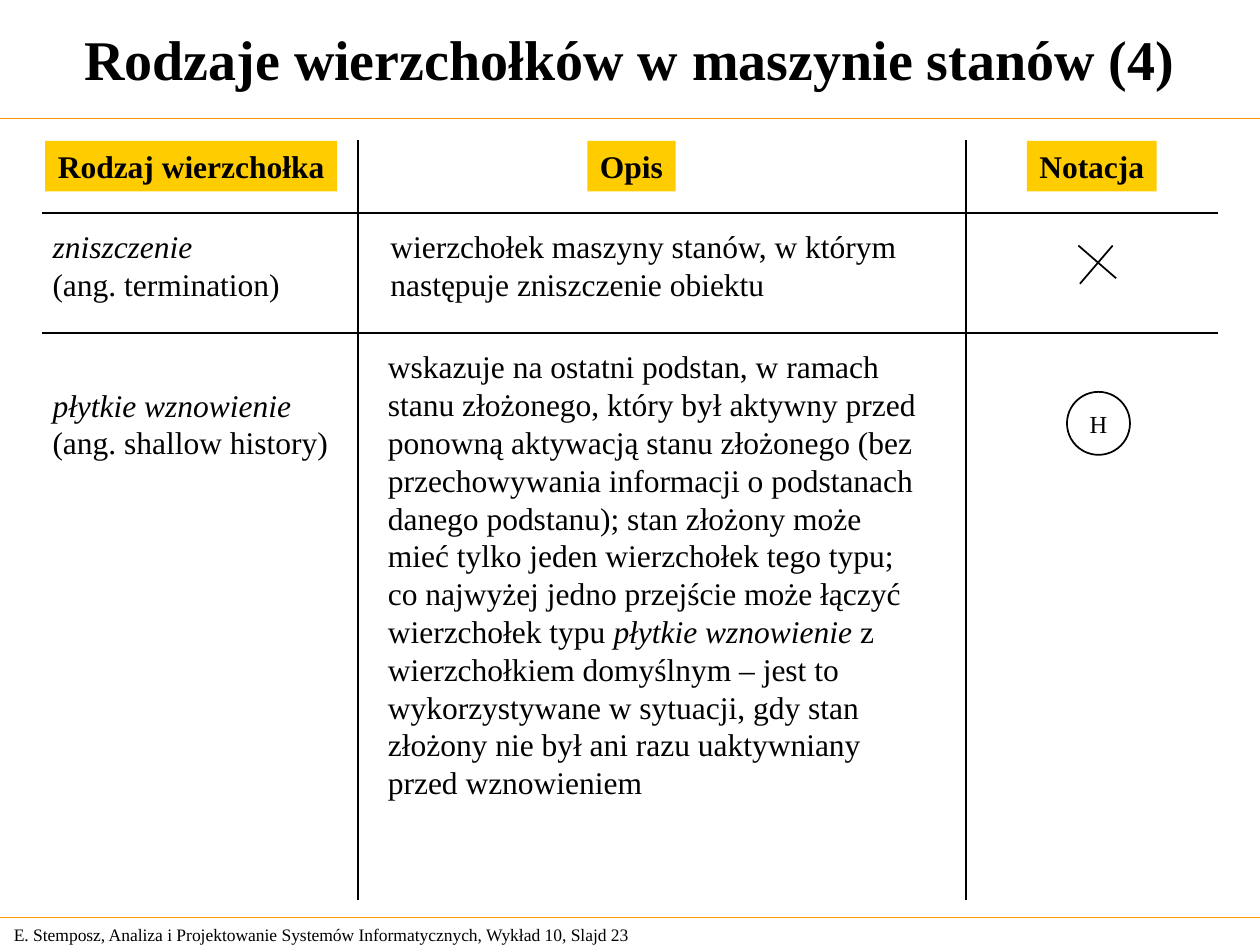
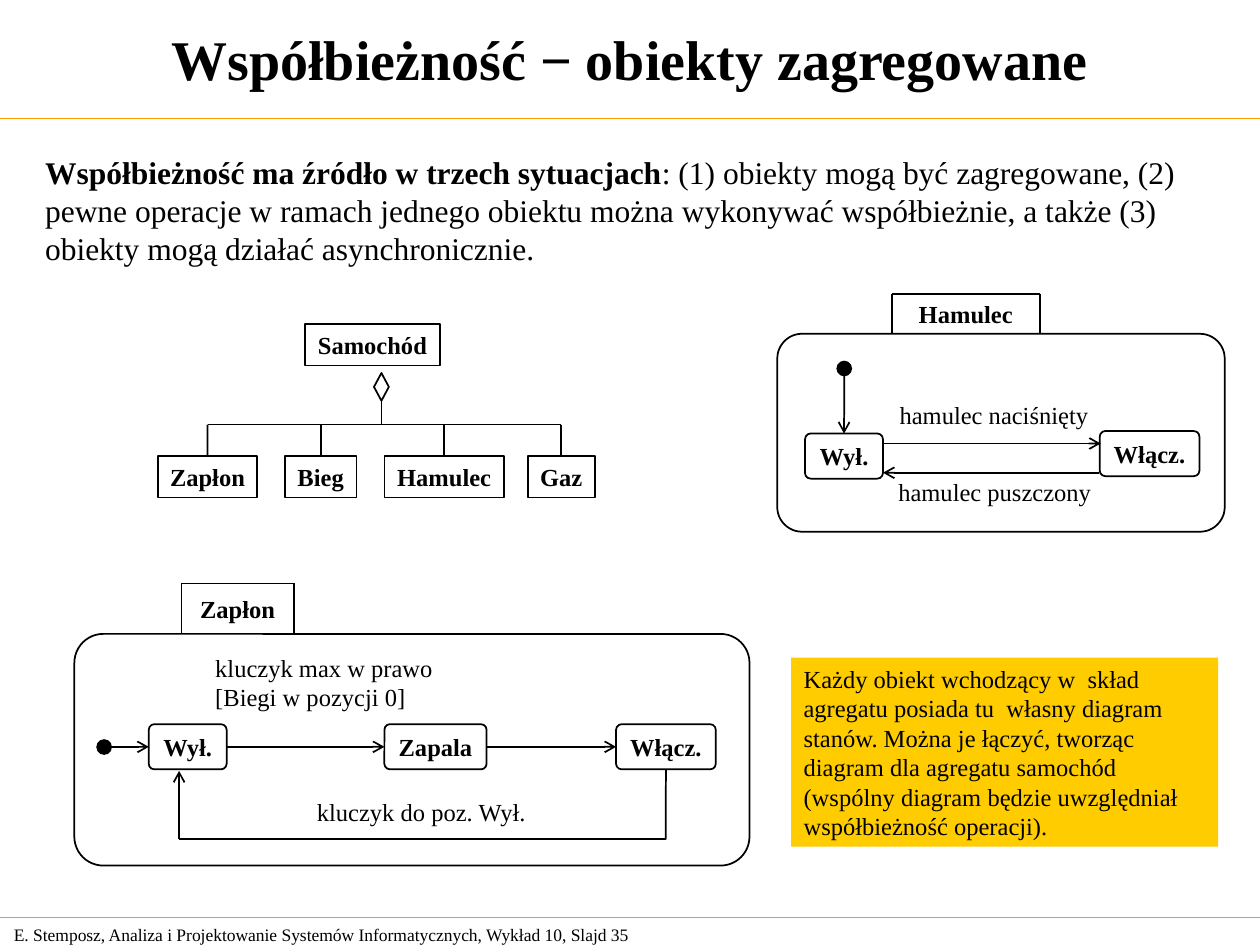
"""Builds two lecture slides on state machines and concurrency."""
from dataclasses import dataclass
from itertools import pairwise

from lxml import etree
from pptx import Presentation
from pptx import util as u
from pptx.dml import color as dml
from pptx.enum import shapes, text
from pptx.oxml import ns


@dataclass(frozen=True)
class Theme:
    """Colours, font, type sizes and line widths."""
    font: str = "Times New Roman"
    ink: str = "000000"
    paper: str = "FFFFFF"
    accent: str = "FFCC00"
    rule: str = "FF9900"
    title: int = 32
    body: int = 18
    label: int = 14
    footer: int = 10
    stroke: float = 1
    thin: float = 0.75


THEME = Theme()
CENTER = text.PP_ALIGN.CENTER
LEFT = text.PP_ALIGN.LEFT
TOP = text.MSO_ANCHOR.TOP
MIDDLE = text.MSO_ANCHOR.MIDDLE
RECT = shapes.MSO_SHAPE.RECTANGLE
ROUND = shapes.MSO_SHAPE.ROUNDED_RECTANGLE
OVAL = shapes.MSO_SHAPE.OVAL
DIAMOND = shapes.MSO_SHAPE.DIAMOND
FOOTER = "E. Stemposz, Analiza i Projektowanie Systemów Informatycznych, Wykład 10, Slajd {}"


def rgb(code):
    """Turn a hex code into a colour."""
    return dml.RGBColor.from_string(code)


def write(p, content, size=THEME.body, bold=False, italic=False, color=THEME.ink):
    """Add one formatted run to a paragraph."""
    r = p.add_run()
    r.text = content
    r.font.name = THEME.font
    r.font.size = u.Pt(size)
    r.font.bold = bold
    r.font.italic = italic
    r.font.color.rgb = rgb(color)


class Deck:
    """Holds the theme and the current slide, and draws on it in centimetres."""

    def __init__(self, theme):
        """Start an empty presentation of 10 by 7.5 inches."""
        self.theme = theme
        self.prs = Presentation()
        self.prs.slide_width, self.prs.slide_height = u.Cm(25.4), u.Cm(19.05)
        self.s = None

    def slide(self, title, number):
        """Add a slide with its title, rules and footer."""
        t = self.theme
        self.s = self.prs.slides.add_slide(self.prs.slide_layouts[5])
        sp = self.s.shapes.title
        sp.left, sp.top, sp.width, sp.height = map(u.Cm, (0, 0, 25.4, 2.35))
        self.fill_text(sp.text_frame, [title], CENTER, MIDDLE, size=t.title, bold=True)
        for y in (2.39, 18.49):
            self.line((0, y), (25.4, y), color=t.rule, width=t.thin)
        self.text((0.03, 18.49, 13.31, 0.69), FOOTER.format(number), anchor=MIDDLE, size=t.footer)

    def fill_text(self, tf, paragraphs, align, anchor, wrap=True, **fmt):
        """Fill a frame with paragraphs, each a string or a list of (text, format)."""
        tf.auto_size = text.MSO_AUTO_SIZE.NONE
        tf.word_wrap = wrap
        tf.vertical_anchor = anchor
        for i, runs in enumerate(paragraphs):
            p = tf.add_paragraph() if i else tf.paragraphs[0]
            p.alignment = align
            for content, extra in [(runs, {})] if isinstance(runs, str) else runs:
                write(p, content, **{**fmt, **extra})

    def text(self, box, *paragraphs, align=LEFT, anchor=TOP, wrap=True, **fmt):
        """Add a text box."""
        sp = self.s.shapes.add_textbox(*map(u.Cm, box))
        self.fill_text(sp.text_frame, paragraphs, align, anchor, wrap, **fmt)

    def label(self, box, content, **fmt):
        """Add a centred one-line caption."""
        self.text(box, content, align=CENTER, anchor=MIDDLE, wrap=False,
                  size=self.theme.label, **fmt)

    def shape(self, kind, box, *paragraphs, fill=None, outline=True,
              align=CENTER, anchor=MIDDLE, wrap=False, **fmt):
        """Add a preset shape, with text if given."""
        sp = self.s.shapes.add_shape(kind, *map(u.Cm, box))
        sp.shadow.inherit = False
        if kind == ROUND:
            sp.adjustments[0] = 0.125
        if fill:
            sp.fill.solid()
            sp.fill.fore_color.rgb = rgb(fill)
        else:
            sp.fill.background()
        if outline:
            sp.line.color.rgb = rgb(self.theme.ink)
            sp.line.width = u.Pt(self.theme.stroke)
        else:
            sp.line.fill.background()
        if paragraphs:
            self.fill_text(sp.text_frame, paragraphs, align, anchor, wrap, **fmt)
        return sp

    def node(self, kind, box, name):
        """Add an outlined box with a bold name."""
        return self.shape(kind, box, name, size=self.theme.label, bold=True)

    def dot(self, x, y, size=0.28):
        """Add an initial state centred on a point."""
        self.shape(OVAL, (x - size / 2, y - size / 2, size, size), fill=self.theme.ink)

    def line(self, a, b, arrow=False, color=THEME.ink, width=THEME.stroke):
        """Draw a line between two ends, each a point or a (shape, site) joint."""
        joined = [not isinstance(end[0], (int, float)) for end in (a, b)]
        points = [(0, 0) if j else end for j, end in zip(joined, (a, b))]
        c = self.s.shapes.add_connector(
            shapes.MSO_CONNECTOR.STRAIGHT, *(u.Cm(v) for pt in points for v in pt))
        if joined[0]:
            c.begin_connect(*a)
        if joined[1]:
            c.end_connect(*b)
        c.line.color.rgb = rgb(color)
        c.line.width = u.Pt(width)
        if arrow:
            etree.SubElement(c.line._get_or_add_ln(), ns.qn("a:tailEnd"), type="arrow")
        etree.SubElement(c._element.spPr, ns.qn("a:effectLst"))

    def path_line(self, *ends, arrow=False):
        """Draw lines through the ends in turn, with an arrowhead on the last."""
        for a, b in pairwise(ends):
            self.line(a, b, arrow=arrow and b is ends[-1])

    def composite(self, frame, name, left, top, width):
        """Draw a composite state with a name tab standing on its frame."""
        self.shape(ROUND, frame)
        base, right = frame[1], left + width
        self.path_line((left, base), (left, top), (right, top), (right, base))
        self.label((left, top, width, base - top), name, bold=True)


def vertex_kinds(d):
    """Draw the slide that lists kinds of vertices."""
    t = d.theme
    d.slide("Rodzaje wierzchołków w maszynie stanów (4)", 23)
    for name, x, width in (("Rodzaj wierzchołka", 0.91, 5.89),
                           ("Opis", 11.84, 1.78),
                           ("Notacja", 20.7, 2.62)):
        d.shape(RECT, (x, 2.84, width, 1.02), name, fill=t.accent, outline=False, bold=True)
    for y in (4.29, 6.71):
        d.line((0.84, y), (24.56, y))
    for x in (7.21, 19.48):
        d.line((x, 2.82), (x, 18.14))

    italic = {"italic": True}
    for y, name, english in ((4.45, "zniszczenie", "(ang. termination)"),
                             (7.65, "płytkie wznowienie", "(ang. shallow history)")):
        d.text((0.81, y, 6.35, 1.78), [(name, italic)], english)
    d.text((7.62, 4.45, 11.13, 1.78),
           "wierzchołek maszyny stanów, w którym następuje zniszczenie obiektu")
    d.text((7.57, 6.88, 11.25, 9.4), [
        ("wskazuje na ostatni podstan, w ramach stanu złożonego, który był aktywny przed "
         "ponowną aktywacją stanu złożonego (bez przechowywania informacji o podstanach "
         "danego podstanu); stan złożony może mieć tylko jeden wierzchołek tego typu; "
         "co najwyżej jedno przejście może łączyć wierzchołek typu ", {}),
        ("płytkie wznowienie", italic),
        (" z wierzchołkiem domyślnym – jest to wykorzystywane w sytuacji, gdy stan złożony "
         "nie był ani razu uaktywniany przed wznowieniem", {})])

    d.line((21.74, 4.95), (22.5, 5.61))
    d.line((22.43, 4.95), (21.77, 5.72))
    d.shape(OVAL, (21.51, 7.9, 1.27, 1.27), "H", fill=t.paper, size=t.label)


def car_parts(d):
    """Draw the car and the parts it aggregates."""
    d.node(RECT, (6.15, 6.53, 2.72, 0.84), "Samochód")
    diamond = d.shape(DIAMOND, (7.54, 7.52, 0.3, 0.56))
    bar = 8.56
    d.line((diamond, 2), (7.69, bar))
    centers = []
    for name, x, width in (("Zapłon", 3.18, 2.01), ("Bieg", 5.74, 1.45),
                           ("Hamulec", 7.75, 2.41), ("Gaz", 10.64, 1.35)):
        part = d.node(RECT, (x, 9.19, width, 0.84), name)
        centers.append(x + width / 2)
        d.line((centers[-1], bar), (part, 0))
    d.line((centers[0], bar), (centers[-1], bar))


def brake_states(d):
    """Draw the state diagram of the brake."""
    d.composite((15.67, 6.73, 9.02, 3.99), "Hamulec", 17.98, 5.92, 2.98)
    off = d.node(ROUND, (16.23, 8.74, 1.57, 0.91), "Wył.")
    d.node(ROUND, (22.17, 8.69, 2.01, 0.91), "Włącz.")
    d.dot(17.02, 7.43)
    d.line((17.02, 7.57), (off, 0), arrow=True)
    d.line((17.8, 8.94), (22.19, 8.94), arrow=True)
    d.line((22.15, 9.53), (17.8, 9.53), arrow=True)
    d.label((17.88, 7.95, 4.32, 0.84), "hamulec naciśnięty")
    d.label((17.86, 9.5, 4.39, 0.84), "hamulec puszczony")


def ignition_states(d):
    """Draw the state diagram of the ignition."""
    d.composite((1.5, 12.78, 13.61, 4.67), "Zapłon", 3.66, 11.76, 2.26)
    off, starting, on = [
        d.node(ROUND, (x, 14.6, width, 0.91), name)
        for name, x, width in (("Wył.", 3, 1.57), ("Zapala", 7.75, 2.06),
                               ("Włącz.", 12.42, 2.01))]
    d.dot(2.1, 15.06)
    d.line((2.24, 15.06), (off, 1), arrow=True)
    for a, b in pairwise((off, starting, on)):
        d.line((a, 3), (b, 1), arrow=True)
    d.path_line((on, 2), (13.42, 16.92), (3.61, 16.92), (3.61, 15.54), arrow=True)
    d.text((4.09, 13.03, 5.4, 1.42), "kluczyk max w prawo", "[Biegi w pozycji 0]",
           size=d.theme.label)
    d.label((6.12, 15.95, 4.75, 0.84), "kluczyk do poz. Wył.")


def concurrency(d):
    """Draw the slide on concurrency of aggregated objects."""
    t = d.theme
    d.slide("Współbieżność − obiekty zagregowane", 35)
    d.text((0.66, 2.97, 23.95, 2.54), [
        ("Współbieżność ma źródło w trzech sytuacjach", {"bold": True}),
        (": (1) obiekty mogą być zagregowane, (2) pewne operacje w ramach jednego obiektu "
         "można wykonywać współbieżnie, a także (3) obiekty mogą działać asynchronicznie.", {})])
    car_parts(d)
    brake_states(d)
    ignition_states(d)
    d.shape(RECT, (15.95, 13.26, 8.61, 3.81),
            "Każdy obiekt wchodzący w  skład agregatu posiada tu  własny diagram stanów. "
            "Można je łączyć, tworząc diagram dla agregatu samochód (wspólny diagram będzie "
            "uwzględniał współbieżność operacji).",
            fill=t.accent, outline=False, align=LEFT, anchor=TOP, wrap=True, size=t.label)


def main():
    """Build both slides and save them."""
    d = Deck(THEME)
    vertex_kinds(d)
    concurrency(d)
    d.prs.save("out.pptx")


if __name__ == "__main__":
    main()
